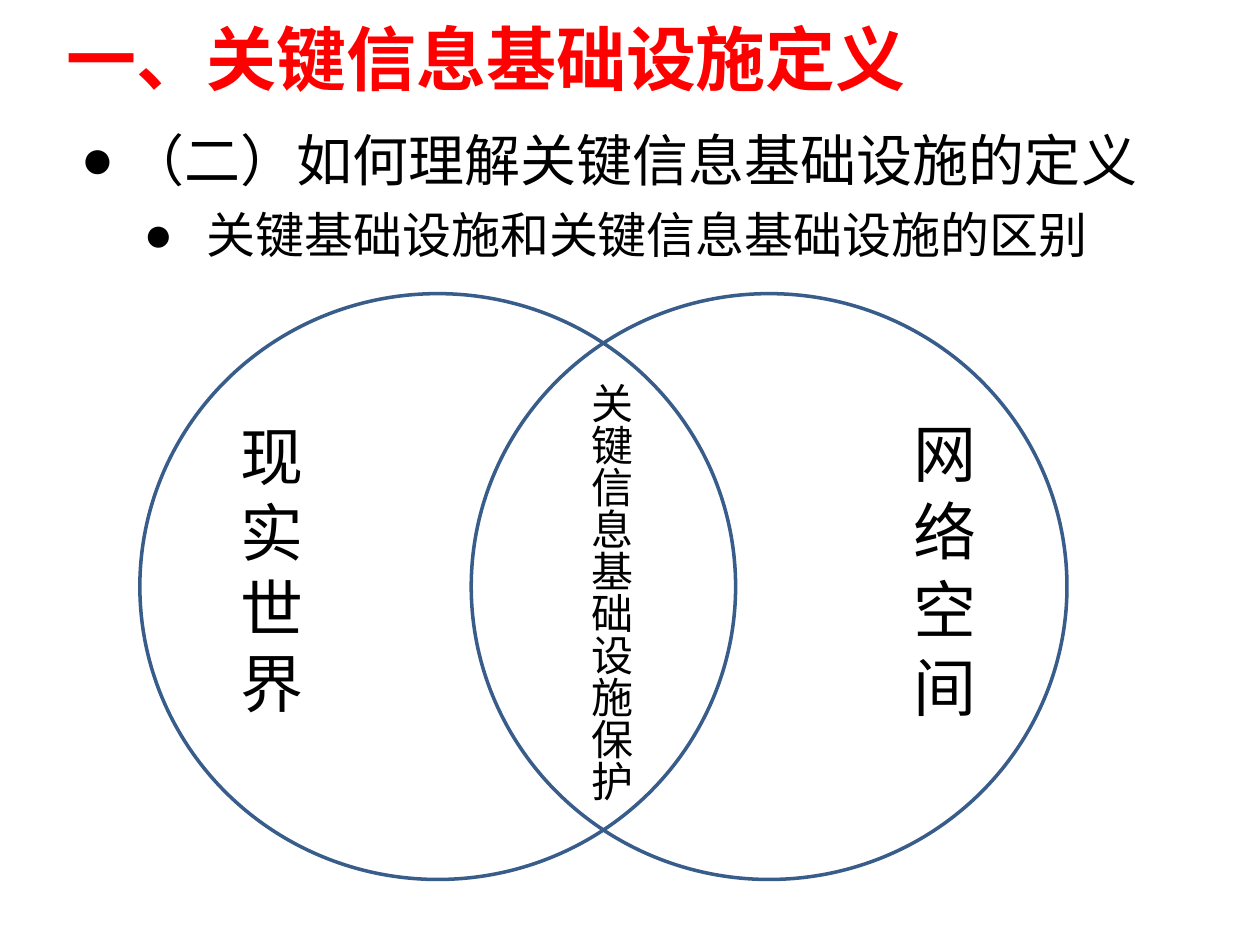
from lxml.etree import SubElement
from pptx import Presentation
from pptx.dml.color import RGBColor
from pptx.enum.shapes import MSO_SHAPE
from pptx.enum.text import MSO_ANCHOR, PP_ALIGN
from pptx.oxml.ns import qn
from pptx.util import Cm, Pt

RED = RGBColor(0xFF, 0x00, 0x00)
BLACK = RGBColor(0x00, 0x00, 0x00)
BLUE = RGBColor(0x38, 0x5D, 0x8A)
CJK = "Noto Sans CJK SC"
LINE_HEIGHT = 1.2

TITLE = "一、关键信息基础设施定义"
BULLETS = [
    ("（二）如何理解关键信息基础设施的定义", 32, CJK, 8, 0.97, 0.97),
    ("关键基础设施和关键信息基础设施的区别", 28, "Arial", 7, 2.54, 1.27),
]
CIRCLE_LEFTS = [2.82, 9.5]
CIRCLE_TOP, CIRCLE_W, CIRCLE_H = 5.92, 12.01, 11.81
STACKED = ("现实世界", 36, (4.6, 8.3, 3.5, 6.35))
VERTICAL = [
    ("网 络 空 间", 36, (17.86, 8.25, 2.03, 6.2)),
    ("关键信息基础设施保护", 24, (11.43, 7.47, 1.52, 8.74)),
]


def place(sp, box):
    sp.left, sp.top, sp.width, sp.height = map(Cm, box)


def style(p, size, color=BLACK, name=CJK, bold=False):
    p.alignment = PP_ALIGN.LEFT
    for r in p.runs:
        f = r.font
        f.size, f.bold, f.name = Pt(size), bold, name
        f.color.rgb = color
        SubElement(r._r.get_or_add_rPr(), qn("a:ea"), typeface=CJK)


def add_bullet(p, margin, hanging):
    pPr = p._p.get_or_add_pPr()
    pPr.set("marL", str(Cm(margin)))
    pPr.set("indent", str(-Cm(hanging)))
    color = SubElement(pPr, qn("a:buClr"))
    SubElement(color, qn("a:srgbClr"), val=str(BLACK))
    SubElement(pPr, qn("a:buFont"), typeface="Arial")
    SubElement(pPr, qn("a:buChar"), char="●")


prs = Presentation()
prs.slide_width, prs.slide_height = Cm(25.4), Cm(19.05)
s = prs.slides.add_slide(prs.slide_layouts[1])

title = s.shapes.title
place(title, (1.09, 0, 23.4, 2.31))
title.text_frame.text = TITLE
title.text_frame.vertical_anchor = MSO_ANCHOR.MIDDLE
style(title.text_frame.paragraphs[0], 40, RED, bold=True)

body = s.placeholders[1]
place(body, (1.37, 2.4, 22.86, 14.6))
tf = body.text_frame
tf.text = "\n".join(b[0] for b in BULLETS)
for level, (p, bullet) in enumerate(zip(tf.paragraphs, BULLETS)):
    text, size, name, before, margin, hanging = bullet
    p.level = level
    style(p, size, name=name)
    p.space_before = Pt(before)
    p.line_spacing = Pt(size * LINE_HEIGHT)
    add_bullet(p, margin, hanging)

for left in CIRCLE_LEFTS:
    sp = s.shapes.add_shape(MSO_SHAPE.OVAL, Cm(left), Cm(CIRCLE_TOP),
                            Cm(CIRCLE_W), Cm(CIRCLE_H))
    sp.shadow.inherit = False
    sp.fill.background()
    sp.line.color.rgb = BLUE
    sp.line.width = Pt(2)

text, size, box = STACKED
tf = s.shapes.add_textbox(*map(Cm, box)).text_frame
tf.word_wrap = True
tf.text = "\n".join(text)
for p in tf.paragraphs:
    style(p, size)
    p.line_spacing = Pt(size * LINE_HEIGHT)

for text, size, box in VERTICAL:
    tf = s.shapes.add_textbox(*map(Cm, box)).text_frame
    tf.margin_left = tf.margin_right = Cm(0.13)
    tf.margin_top = tf.margin_bottom = Cm(0.25)
    tf.word_wrap = False
    tf._txBody.bodyPr.set("vert", "eaVert")
    tf.text = text
    style(tf.paragraphs[0], size)

prs.save("out.pptx")
